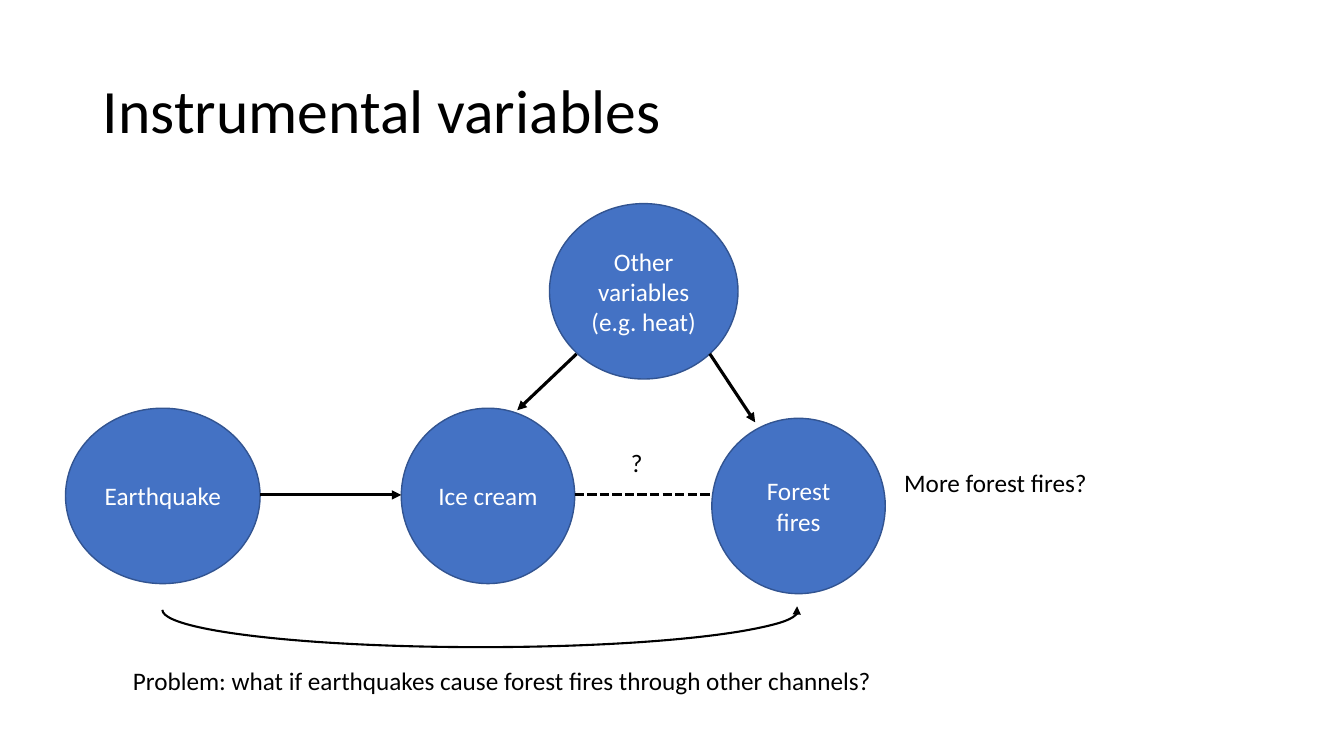
from lxml.etree import SubElement
from pptx import Presentation
from pptx.dml.color import RGBColor
from pptx.enum.dml import MSO_LINE
from pptx.enum.shapes import MSO_CONNECTOR, MSO_SHAPE
from pptx.enum.text import MSO_ANCHOR, MSO_AUTO_SIZE, PP_ALIGN
from pptx.oxml.ns import qn
from pptx.util import Inches, Pt

COLORS = {"text": "000000", "node": "4472C4", "edge": "325491", "label": "FFFFFF"}
FONT = "Calibri"
CELL = 0.1


class Diagram:
    """Draws a causal diagram on one slide, in grid cells of a tenth of an inch."""

    def __init__(self, prs):
        self.s = prs.slides.add_slide(prs.slide_layouts[5])

    def grid(self, *cells):
        return [Inches(c * CELL) for c in cells]

    def color(self, name):
        return RGBColor.from_string(COLORS[name])

    def label(self, sp, text, size=18, color="text", align=PP_ALIGN.LEFT, anchor=MSO_ANCHOR.MIDDLE):
        tf = sp.text_frame
        tf.text = text
        tf.word_wrap = True
        tf.vertical_anchor = anchor
        p = tf.paragraphs[0]
        p.alignment = align
        r = p.runs[0]
        r.font.name = FONT
        r.font.size = Pt(size)
        r.font.color.rgb = self.color(color)
        return p

    def stroke(self, sp, color="text", width=2.25, end=None):
        sp.line.color.rgb = self.color(color)
        sp.line.width = Pt(width)
        if end:
            ln = sp._element.spPr.find(qn("a:ln"))
            SubElement(ln, qn(f"a:{end}"), type="triangle")

    def title(self, text, *box):
        sp = self.s.shapes.title
        sp.left, sp.top, sp.width, sp.height = self.grid(*box)
        self.label(sp, text, 44).line_spacing = 0.9

    def node(self, text, x, y, w=17.2, h=17.4):
        sp = self.s.shapes.add_shape(MSO_SHAPE.OVAL, *self.grid(x, y, w, h))
        sp.shadow.inherit = False
        sp.fill.solid()
        sp.fill.fore_color.rgb = self.color("node")
        self.stroke(sp, "edge", 1)
        self.label(sp, text, color="label", align=PP_ALIGN.CENTER)

    def note(self, text, x, y, w, h=4):
        sp = self.s.shapes.add_textbox(*self.grid(x, y, w, h))
        self.label(sp, text, anchor=MSO_ANCHOR.TOP)
        sp.text_frame.auto_size = MSO_AUTO_SIZE.SHAPE_TO_FIT_TEXT

    def link(self, x1, y1, x2, y2, dashed=False):
        sp = self.s.shapes.add_connector(MSO_CONNECTOR.STRAIGHT, *self.grid(x1, y1, x2, y2))
        self.stroke(sp, end=None if dashed else "tailEnd")
        if dashed:
            sp.line.dash_style = MSO_LINE.SQUARE_DOT
        SubElement(sp._element.spPr, qn("a:effectLst"))

    def curve(self, x, y, w, h):
        sp = self.s.shapes.add_shape(MSO_SHAPE.ARC, *self.grid(x, y, w, h))
        sp.shadow.inherit = False
        sp.fill.background()
        sp.rotation = 180
        sp.adjustments[0] = 107.61
        sp.adjustments[1] = 0
        self.stroke(sp, width=1.5, end="headEnd")


def main():
    prs = Presentation()
    prs.slide_width, prs.slide_height = Inches(13.33), Inches(7.5)
    d = Diagram(prs)
    row, axis = 40.5, 49.1

    d.title("Instrumental variables", 9.2, 4, 115, 14.5)
    d.node("Forest fires", 70.6, row + 1)
    d.node("Ice cream", 39.8, row)
    d.link(57.2, 35.1, 51.3, 40.7)
    d.node("Other variables (e.g. heat)", 54.5, 20.2, 18.7)
    d.link(70.4, 35.1, 74.9, 41.9)
    d.link(57, axis, 70.4, axis, dashed=True)
    d.note("?", 61.6, 43.9, 5.1)
    d.note("More forest fires?", 88.7, 45.9, 34.3)
    d.node("Earthquake", 6.5, row, 19.3)
    d.link(25.8, axis, 39.8, axis)
    d.curve(16.1, 56.8, 63.1, 7.4)
    d.note("Problem: what if earthquakes cause forest fires through other channels?", 12.2, 65.5, 90.1)

    prs.save("out.pptx")


if __name__ == "__main__":
    main()
